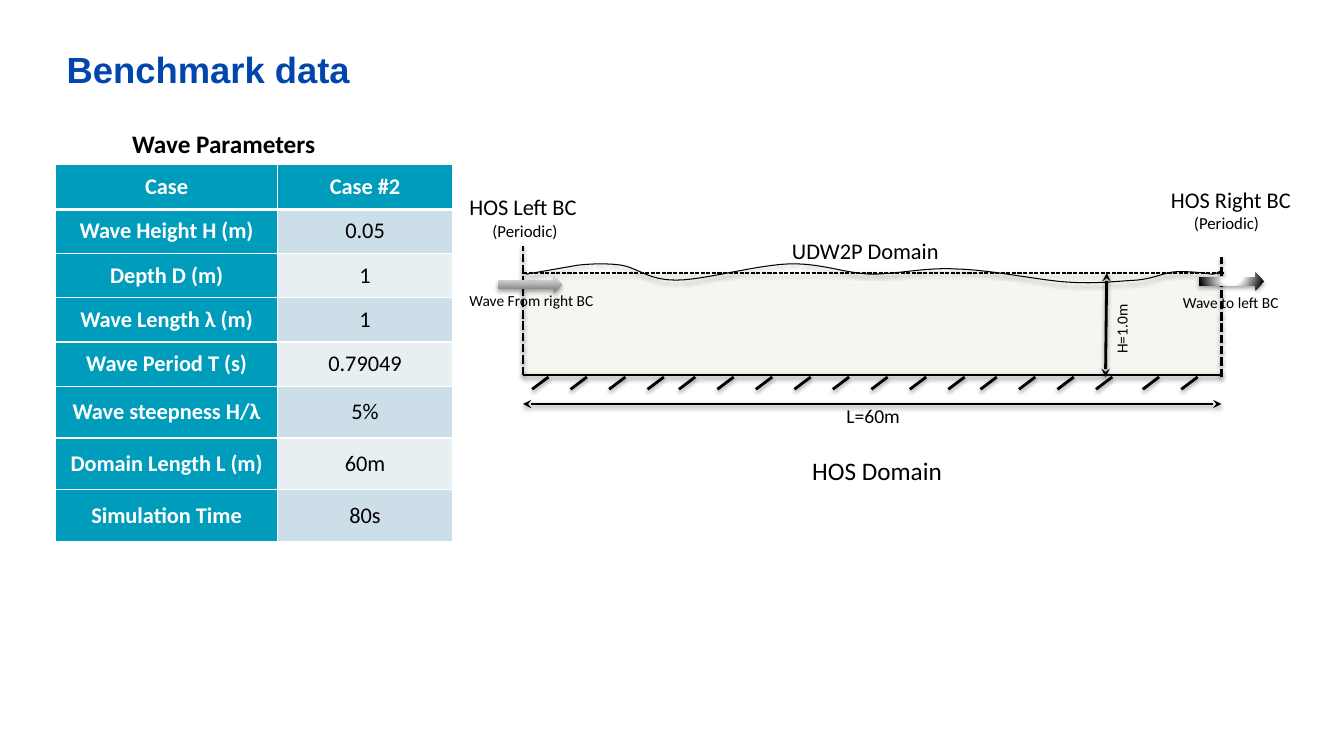
from pptx import Presentation
from pptx.dml.color import RGBColor
from pptx.enum.dml import MSO_LINE as Dash
from pptx.enum.shapes import MSO_CONNECTOR as Link, MSO_SHAPE as Preset
from pptx.enum.text import MSO_ANCHOR as Anchor, MSO_AUTO_SIZE as Fit, PP_ALIGN as Align
from pptx.oxml import parse_xml
from pptx.oxml.ns import nsdecls, qn
from pptx.util import Cm, Pt

COLORS = {
    "title": "0046AD", "text": "000000", "white": "FFFFFF", "header": "009CBC",
    "band_dark": "CCDEE7", "band_light": "E7EFF3", "water": "E9FFBE",
}
GREY_STOPS = [(0, "F2F2F2"), (74, "8C8C8C"), (83, "8C8C8C"), (100, "B2B2B2")]
GLOSS_STOPS = [(0, "FFFFFF"), (35, "FFFFFF"), (100, "000000")]
GREY_SHADE = '<a:lin ang="5400000" scaled="0"/>'
GLOSS_SHADE = ('<a:path path="circle"><a:fillToRect l="50000" t="-80000" '
               'r="50000" b="180000"/></a:path>')

WAVE_CASE = [
    ("Case", "Case #2", 1.14),
    ("Wave Height H (m)", "0.05", 1.1),
    ("Depth D (m)", "1", 1.12),
    ("Wave Length λ (m)", "1", 1.12),
    ("Wave Period T (s)", "0.79049", 1.12),
    ("Wave steepness H/λ", "5%", 1.3),
    ("Domain Length L (m)", "60m", 1.3),
    ("Simulation Time", "80s", 1.3),
]

# Surface curve in cm from the top left corner of the water: start, first crest
# approach, then one (control, control, end) triple for each Bezier piece.
WAVE_START, WAVE_RISE = (0.08, 0.03), (1.4, -0.2)
WAVE_CURVES = [
    ((1.73, -0.23), (2.06, -0.25), (2.46, -0.2)),
    ((2.9, -0.13), (3.15, 0.18), (3.86, 0.18)),
    ((4.55, 0.18), (5.87, -0.2), (6.71, -0.23)),
    ((7.52, -0.25), (8.08, 0), (8.76, 0.03)),
    ((9.47, 0.03), (10.13, -0.15), (10.95, -0.1)),
    ((11.79, -0.08), (12.98, 0.18), (13.72, 0.23)),
    ((14.48, 0.28), (15.01, 0.2), (15.47, 0.18)),
    ((15.93, 0.13), (16.13, 0), (16.43, -0.03)),
    ((16.76, -0.05), (17.17, 0), (17.35, 0.03)),
    ((17.53, 0.03), (17.63, -0.13), (17.5, 0.03)),
]
# First tick of each evenly spaced group on the sea bed, and its tick count
BED_TICKS = [(0.64, 4), (4.34, 8), (11.94, 4), (16.03, 2)]
TICK_STEP = 0.97


def rgb(name):
    return RGBColor.from_string(COLORS[name])


def apply(target, values):
    for name, value in values.items():
        setattr(target, name, value)


def write(para, text, size, color="text", bold=False, font="Calibri"):
    span = para.add_run()
    span.text = text
    apply(span.font, {"size": Pt(size), "bold": bold, "name": font})
    span.font.color.rgb = rgb(color)


def add_label(page, box, lines, wrap=False, turn=0):
    """Place a text box; each line is (text, size, bold, indent in cm)."""
    label = page.shapes.add_textbox(*map(Cm, box))
    label.rotation = turn
    frame = label.text_frame
    apply(frame, {"word_wrap": wrap, "auto_size": Fit.SHAPE_TO_FIT_TEXT})
    for index, (text, size, bold, indent) in enumerate(lines):
        para = frame.add_paragraph() if index else frame.paragraphs[0]
        if indent:
            para._p.get_or_add_pPr().set("marL", str(Cm(indent)))
        write(para, text, size, bold=bold)


def cast_shadow(shape, distance=23000, strength=35):
    properties = shape._element.spPr
    for old in properties.findall(qn("a:effectLst")):
        properties.remove(old)
    properties.append(parse_xml(
        f'<a:effectLst {nsdecls("a")}><a:outerShdw blurRad="40000" dist="{distance}" '
        f'dir="5400000" rotWithShape="0"><a:srgbClr val="000000">'
        f'<a:alpha val="{strength * 1000}"/></a:srgbClr></a:outerShdw></a:effectLst>'))


def add_line(page, origin, start, end, width=2, dash=None, arrows=False):
    left, top = origin
    line = page.shapes.add_connector(
        Link.STRAIGHT, Cm(left + start[0]), Cm(top + start[1]),
        Cm(left + end[0]), Cm(top + end[1]))
    line.line.color.rgb = rgb("text")
    apply(line.line, {"width": Pt(width), "dash_style": dash})
    if arrows:
        for tip in ("headEnd", "tailEnd"):
            line.line._ln.append(parse_xml(f'<a:{tip} {nsdecls("a")} type="stealth"/>'))
    cast_shadow(line, 20000, 38)


def add_flow_arrow(page, box, stops, shade):
    arrow = page.shapes.add_shape(Preset.RIGHT_ARROW, *map(Cm, box))
    arrow.line.fill.background()
    arrow.fill.gradient()
    properties = arrow._element.spPr
    marks = "".join(f'<a:gs pos="{place * 1000}"><a:srgbClr val="{color}"/></a:gs>'
                    for place, color in stops)
    properties.replace(properties.find(qn("a:gradFill")), parse_xml(
        f'<a:gradFill {nsdecls("a")} rotWithShape="1"><a:gsLst>{marks}</a:gsLst>'
        f'{shade}</a:gradFill>'))
    cast_shadow(arrow)


def bezier(points, t):
    weights = ((1 - t) ** 3, 3 * t * (1 - t) ** 2, 3 * t * t * (1 - t), t ** 3)
    return tuple(sum(w * point[axis] for w, point in zip(weights, points))
                 for axis in (0, 1))


def add_wave(page, origin, steps=12):
    track = [WAVE_START, WAVE_RISE]
    for curve in WAVE_CURVES:
        begin = track[-1]
        track += [bezier((begin, *curve), n / steps) for n in range(1, steps + 1)]
    first, *rest = [(Cm(origin[0] + x), Cm(origin[1] + y)) for x, y in track]
    builder = page.shapes.build_freeform(*first)
    builder.add_line_segments(rest, close=False)
    wave = builder.convert_to_shape()
    wave.fill.background()
    wave.line.color.rgb = rgb("text")
    wave.line.width = Pt(0.75)
    cast_shadow(wave)


def add_title(page, box):
    frame = page.shapes.add_textbox(*map(Cm, box)).text_frame
    margins = {f"margin_{side}": 0 for side in ("left", "top", "right", "bottom")}
    apply(frame, {"word_wrap": True, "vertical_anchor": Anchor.MIDDLE, **margins})
    frame.paragraphs[0].line_spacing = 0.9
    write(frame.paragraphs[0], "Benchmark data", 26, "title", True, "Arial")


def border_cell(cell, bottom):
    properties = cell._tc.get_or_add_tcPr()
    for index, (side, width) in enumerate(zip("LRTB", (1, 1, 1, bottom))):
        properties.insert(index, parse_xml(
            f'<a:ln{side} {nsdecls("a")} w="{Pt(width)}"><a:solidFill>'
            f'<a:srgbClr val="{COLORS["white"]}"/></a:solidFill></a:ln{side}>'))


def add_parameters(page, box):
    left, top, width, height = box
    add_label(page, (left + 1.68, top - 1.02, 5.16, 1.02), [("Wave Parameters", 18, True, 0)])
    grid = page.shapes.add_table(len(WAVE_CASE), 2, *map(Cm, box)).table
    apply(grid, {"first_row": False, "horz_banding": False})
    for column, share in zip(grid.columns, (0.56, 0.44)):
        column.width = Cm(width * share)
    for row, (name, value, tall) in enumerate(WAVE_CASE):
        grid.rows[row].height = Cm(tall)
        for column, text in enumerate((name, value)):
            heading = row == 0 or column == 0
            cell = grid.cell(row, column)
            cell.vertical_anchor = Anchor.MIDDLE
            cell.fill.solid()
            band = "band_dark" if row % 2 else "band_light"
            cell.fill.fore_color.rgb = rgb("header" if heading else band)
            border_cell(cell, 1 if row else 3)
            para = cell.text_frame.paragraphs[0]
            para.alignment = Align.CENTER
            write(para, text, 16, "white" if heading else "text", heading)


def add_domain(page, box):
    """Draw the wave tank whose water fills the box."""
    left, top, width, depth = box
    origin = left, top
    water = page.shapes.add_shape(
        Preset.FLOWCHART_PROCESS, Cm(left), Cm(top + 0.08), Cm(width), Cm(depth - 0.1))
    water.fill.solid()
    water.fill.fore_color.rgb = rgb("water")
    tint = water._element.spPr.find(f'{qn("a:solidFill")}/{qn("a:srgbClr")}')
    tint.append(parse_xml(f'<a:alpha {nsdecls("a")} val="10000"/>'))
    water.line.fill.background()
    cast_shadow(water)

    add_line(page, origin, (0, depth), (width, depth))
    for first, count in BED_TICKS:
        for n in range(count):
            x = first + n * TICK_STEP
            add_line(page, origin, (x, depth + 0.05), (x - 0.41, depth + 0.36))
    add_line(page, origin, (0, depth), (0, -0.69), dash=Dash.SQUARE_DOT)
    add_line(page, origin, (width, depth + 0.05), (width, -0.41), dash=Dash.SQUARE_DOT)
    add_flow_arrow(page, (left - 0.64, top + 0.08, 1.63, 0.43), GREY_STOPS, GREY_SHADE)
    add_flow_arrow(page, (left + 17.04, top, 1.63, 0.43), GLOSS_STOPS, GLOSS_SHADE)
    add_wave(page, origin)
    add_line(page, origin, (0, 3.3), (width, 3.3), arrows=True)
    add_line(page, origin, (14.71, 0), (14.68, depth + 0.05), arrows=True)
    add_line(page, origin, (0, 0), (width + 0.05, 0), 1, Dash.SQUARE_DOT)

    periodic = ("(Periodic)", 12, False, 0.58)
    for x, y, wide, tall, text, size, *more in (
            (-1.6, -2.13, 3.28, 2.13, "HOS Left BC", 16, periodic),
            (16.08, -2.31, 3.58, 2.13, "HOS Right BC", 16, periodic),
            (-1.6, 0.33, 3.68, 0.74, "Wave From right BC", 11),
            (16.38, 0.38, 2.97, 0.74, "Wave to left BC", 11),
            (6.53, -1.02, 4.24, 1.63, "UDW2P Domain", 16),
            (7.04, 4.47, 3.96, 1.02, "HOS Domain", 18),
            (7.9, 3.18, 1.88, 0.86, "L=60m", 14)):
        add_label(page, (left + x, top + y, wide, tall), [(text, size, False, 0), *more])
    add_label(page, (left + 14.22, top + 1.04, 1.75, 0.74), [("H=1.0m", 11, False, 0)], True, 270)


def main():
    deck = Presentation()
    apply(deck, {"slide_width": Cm(33.87), "slide_height": Cm(19.05)})
    page = deck.slides.add_slide(deck.slide_layouts[6])
    add_title(page, (1.68, 0.84, 26.85, 1.93))
    add_parameters(page, (1.4, 4.14, 10, 9.5))
    add_domain(page, (13.18, 6.88, 17.6, 2.57))
    deck.save("out.pptx")


if __name__ == "__main__":
    main()
